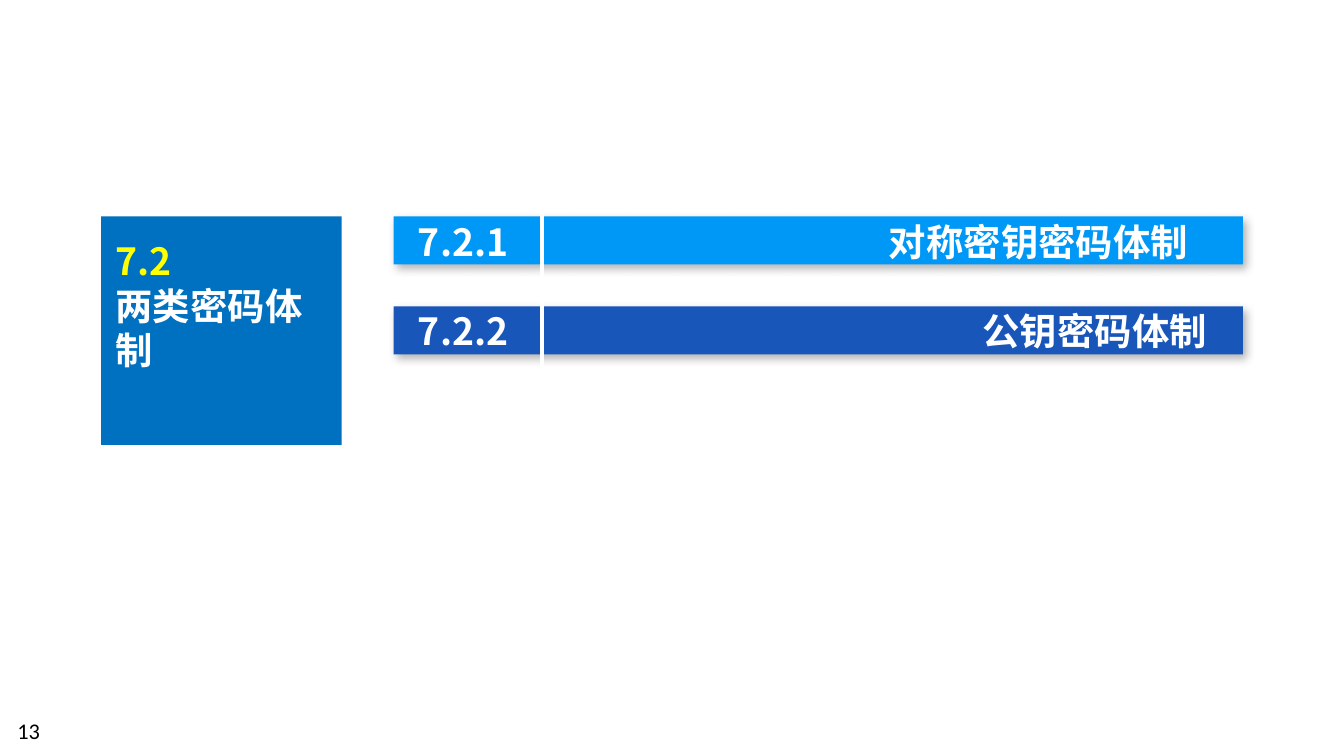
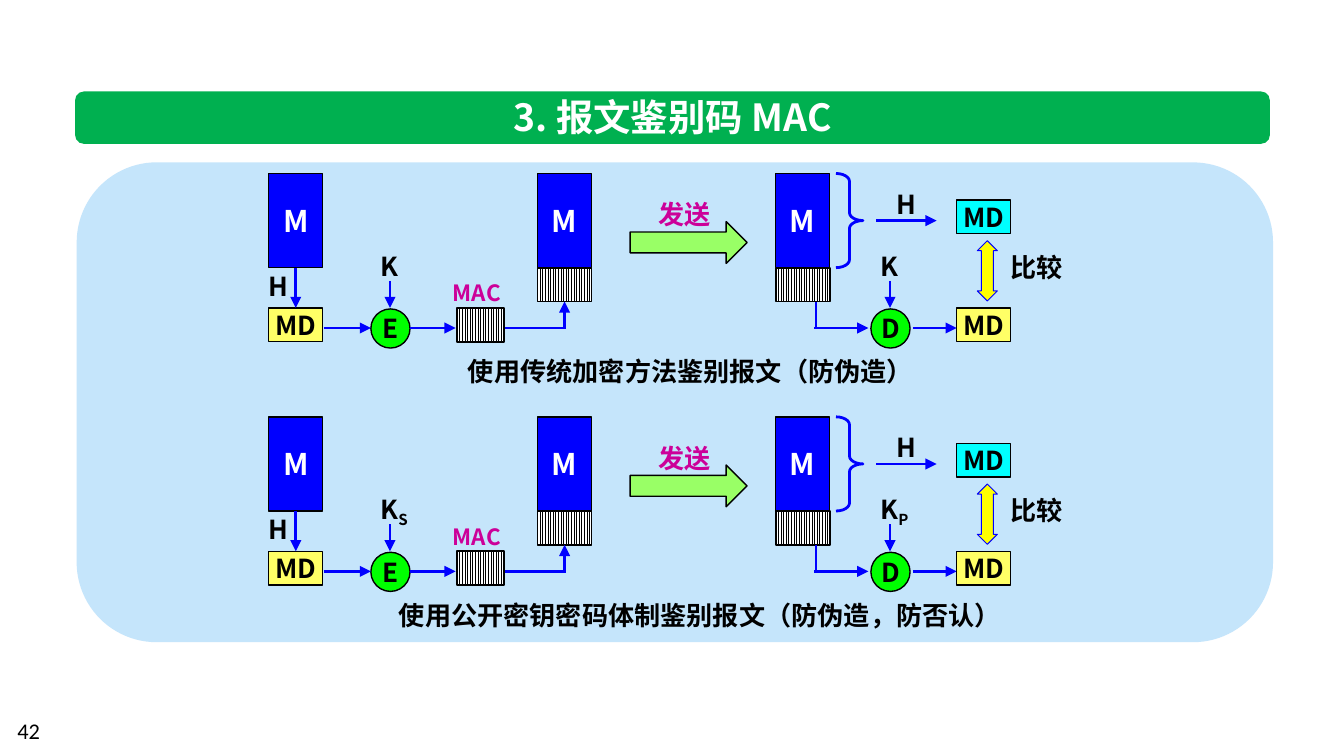
import dataclasses

import pptx
import pptx.dml.color
import pptx.enum.dml
import pptx.enum.shapes
import pptx.enum.text
import pptx.oxml.ns
import pptx.util
from lxml import etree

Cm = pptx.util.Cm
Pt = pptx.util.Pt
qn = pptx.oxml.ns.qn
SHAPE = pptx.enum.shapes.MSO_SHAPE
ALIGN = pptx.enum.text.PP_ALIGN
ANCHOR = pptx.enum.text.MSO_ANCHOR


@dataclasses.dataclass(frozen=True)
class Theme:
    font: str = "Noto Sans CJK SC"
    number_font: str = "Calibri"
    title_size: int = 20
    block_size: int = 16
    body_size: int = 14
    small_size: int = 12
    black: str = "000000"
    white: str = "FFFFFF"
    section: str = "0070C0"
    section_number: str = "FFFF00"
    bars: tuple = ("0098F6", "1956B9")
    banner: str = "00B050"
    panel: str = "C5E5FB"
    message: str = "0000FF"
    digest: str = "FFFF66"
    new_digest: str = "00FFFF"
    cipher: str = "00FF00"
    send: str = "99FF66"
    compare: str = "FFFF00"
    accent: str = "CC0099"


T = Theme()


def rgb(color):
    return pptx.dml.color.RGBColor.from_string(color)


class Deck:
    def __init__(self):
        self.prs = pptx.Presentation()
        self.prs.slide_width = Cm(25.4)
        self.prs.slide_height = Cm(14.29)

    def slide(self, number):
        self.s = self.prs.slides.add_slide(self.prs.slide_layouts[5])
        self.shapes = self.s.shapes
        self.text(0.08, 13.44, 5.92, 0.76, [number], T.small_size,
                  wrap=True, bold=False, font=T.number_font)

    def group(self):
        self.shapes = self.s.shapes.add_group_shape().shapes

    def style(self, p, size, color, align=None, bold=True, font=T.font):
        p.alignment = align
        for r in p.runs:
            r.font.size = Pt(size)
            r.font.bold = bold
            r.font.color.rgb = rgb(color)
            r.font.name = font
            latin = r.font.element.find(qn("a:latin")) if hasattr(r.font, "element") else \
                r._r.get_or_add_rPr().find(qn("a:latin"))
            ea = etree.Element(qn("a:ea"))
            ea.set("typeface", font)
            latin.addnext(ea)

    def title(self, x, y, w, h, lines, colors, align, wrap):
        sp = self.s.shapes.title
        sp.element.getparent().append(sp.element)
        sp.left, sp.top, sp.width, sp.height = Cm(x), Cm(y), Cm(w), Cm(h)
        tf = sp.text_frame
        tf.text = "\n".join(lines)
        tf.word_wrap = wrap
        tf.auto_size = pptx.enum.text.MSO_AUTO_SIZE.NONE
        tf.vertical_anchor = ANCHOR.TOP
        for p, color in zip(tf.paragraphs, colors):
            self.style(p, T.title_size, color, align)

    def text(self, x, y, w, h, lines, size=T.body_size, color=T.black, align=ALIGN.LEFT,
             wrap=False, sub="", **kw):
        tb = self.shapes.add_textbox(Cm(x), Cm(y), Cm(w), Cm(h))
        tf = tb.text_frame
        tf.word_wrap = wrap
        tf.text = "\n".join(lines)
        if sub:
            r = tf.paragraphs[0].add_run()
            r.text = sub
            r._r.get_or_add_rPr().set("baseline", "-25000")
        for p in tf.paragraphs:
            self.style(p, size, color, align, **kw)
        return tf

    def shape(self, kind, x, y, w, h, fill=None, line=None, width=0.75, label="",
              size=T.body_size, color=T.black, adj=()):
        sp = self.shapes.add_shape(kind, Cm(x), Cm(y), Cm(w), Cm(h))
        sp.shadow.inherit = False
        for i, value in enumerate(adj):
            sp.adjustments[i] = value
        if fill:
            sp.fill.solid()
            sp.fill.fore_color.rgb = rgb(fill)
        else:
            sp.fill.background()
        if line:
            sp.line.color.rgb = rgb(line)
            sp.line.width = Pt(width)
        else:
            sp.line.fill.background()
        if label:
            tf = sp.text_frame
            tf.text = label
            tf.word_wrap = False
            tf.vertical_anchor = ANCHOR.MIDDLE
            self.style(tf.paragraphs[0], size, color, ALIGN.CENTER)
        return sp

    def hatch(self, x, y, w):
        sp = self.shape(SHAPE.RECTANGLE, x, y, w, 0.64, line=T.black, width=1)
        sp.fill.patterned()
        sp.fill.pattern = pptx.enum.dml.MSO_PATTERN.LIGHT_VERTICAL
        sp.fill.fore_color.rgb = rgb(T.black)
        sp.fill.back_color.rgb = rgb(T.white)
        return sp

    def cast_shadow(self, sp):
        effects = sp.element.spPr.find(qn("a:effectLst"))
        shadow = etree.SubElement(effects, qn("a:outerShdw"), blurRad=str(Pt(4.5)),
                                  dist=str(Pt(2.6)), dir=str(53 * 60000), rotWithShape="0")
        color = etree.SubElement(shadow, qn("a:srgbClr"), val=T.black)
        etree.SubElement(color, qn("a:alpha"), val="30000")

    def line(self, x1, y1, x2, y2, color=T.message, width=1.5, arrow=True,
             begin=None, end=None):
        cx = self.shapes.add_connector(pptx.enum.shapes.MSO_CONNECTOR.STRAIGHT,
                                       Cm(x1), Cm(y1), Cm(x2), Cm(y2))
        if begin:
            cx.begin_connect(*begin)
        if end:
            cx.end_connect(*end)
        cx.line.color.rgb = rgb(color)
        cx.line.width = Pt(width)
        spPr = cx.element.spPr
        if arrow:
            etree.SubElement(spPr.find(qn("a:ln")), qn("a:tailEnd"), type="triangle")
        etree.SubElement(spPr, qn("a:effectLst"))

    def message(self, x, y):
        return self.shape(SHAPE.RECTANGLE, x, y, 1.02, 1.78, T.message, T.black,
                          label="M", size=T.block_size, color=T.white)

    def digest(self, x, y, fill=T.digest):
        return self.shape(SHAPE.RECTANGLE, x, y, 1.02, 0.64, fill, T.black, label="MD")

    def cipher(self, x, dy, label, key_sub):
        self.shape(SHAPE.OVAL, x, dy + 5.84, 0.74, 0.74, T.cipher, T.black, label=label)
        self.text(x - 0.07, dy + 4.6, 1.07 if key_sub else 0.86, 0.86, ["K"], sub=key_sub)
        self.line(x + 0.36, dy + 5.31, x + 0.36, dy + 5.82)

    def sender(self, dy, key_sub):
        flow = dy + 6.2
        m = self.message(5.08, dy + 3.28)
        md = self.digest(5.08, dy + 5.82)
        self.line(5.59, dy + 5.06, 5.59, dy + 5.82, begin=(m, 2), end=(md, 0))
        self.text(4.83, dy + 4.98, 0.91, 0.86, ["H"])
        self.cipher(7.01, dy, "E", key_sub)
        self.line(6.12, flow, 7.01, flow)
        self.line(7.75, flow, 8.61, flow)
        self.hatch(8.64, dy + 5.82, 0.89)
        self.text(8.31, dy + 5.16, 1.55, 0.76, ["MAC"], T.small_size, T.accent)
        self.message(10.16, dy + 3.28)
        mac = self.hatch(10.16, dy + 5.06, 1.02)
        self.line(9.55, flow, 10.69, flow, arrow=False)
        self.line(10.67, flow, 10.67, dy + 5.7, end=(mac, 2))

    def receiver(self, dy, key_sub):
        flow = dy + 6.2
        self.message(14.66, dy + 3.28)
        self.hatch(14.66, dy + 5.06, 1.02)
        self.line(15.42, flow, 15.42, dy + 5.7, arrow=False)
        self.line(15.39, flow, 16.41, flow)
        self.cipher(16.46, dy, "D", key_sub)
        self.line(17.25, flow, 18.08, flow)
        self.digest(18.08, dy + 5.82)
        self.shape(SHAPE.RIGHT_BRACE, 15.8, dy + 3.28, 0.51, 1.78,
                   line=T.message, width=1.5, adj=(0.292, 0.5))
        self.text(16.69, dy + 3.43, 0.91, 0.86, ["H"])
        self.line(16.56, dy + 4.17, 17.7, dy + 4.17)
        self.digest(18.08, dy + 3.78, T.new_digest)
        self.shape(SHAPE.UP_DOWN_ARROW, 18.47, dy + 4.55, 0.38, 1.14,
                   T.compare, T.message, 0.5, adj=(0.5, 0.6))
        self.text(18.85, dy + 4.62, 1.5, 0.86, ["比较"])

    def transfer(self, dy):
        self.shape(SHAPE.RIGHT_ARROW, 11.91, dy + 4.19, 2.21, 0.79, T.send, T.black)
        self.text(12.19, dy + 3.63, 1.5, 0.86, ["发送"], color=T.accent)


def section_slide(d):
    d.slide("13")
    for i, color in enumerate(T.bars):
        bar = d.shape(SHAPE.RECTANGLE, 7.44, 4.09 + 1.7 * i, 16.05, 0.91, color)
        d.cast_shadow(bar)
    for top, bottom in ((3.73, 7.67), (6.81, 7.19)):
        d.line(10.24, top, 10.24, bottom, T.white, 2.25, arrow=False)
    tf = d.text(7.65, 4.01, 15.54, 2.82, ["7.2.1\t对称密钥密码体制", "7.2.2\t公钥密码体制"],
                T.title_size, T.white, wrap=True)
    for p, stop in zip(tf.paragraphs, (8.9, 10.67)):
        tabs = etree.SubElement(p._p.get_or_add_pPr(), qn("a:tabLst"))
        etree.SubElement(tabs, qn("a:tab"), pos=str(Cm(stop)), algn="l")
    tf.paragraphs[1].space_before = Pt(24)
    d.shape(SHAPE.RECTANGLE, 1.91, 4.09, 4.55, 4.32, T.section)
    d.title(1.93, 4.37, 4.52, 2.82, ["7.2", "两类密码体制"],
            (T.section_number, T.white), ALIGN.LEFT, True)


def mac_slide(d):
    d.slide("42")
    d.shape(SHAPE.ROUNDED_RECTANGLE, 1.42, 1.73, 22.58, 0.99, T.banner, adj=(0.167,))
    d.title(9.27, 1.65, 6.88, 1.12, ["3. 报文鉴别码 MAC"], (T.white,), ALIGN.CENTER, False)
    d.shape(SHAPE.ROUNDED_RECTANGLE, 1.45, 3.07, 22.61, 9.07, T.panel)
    d.text(8.56, 6.6, 8.99, 0.86, ["使用传统加密方法鉴别报文（防伪造）"], align=ALIGN.CENTER)
    d.text(7.24, 11.2, 11.99, 0.86, ["使用公开密钥密码体制鉴别报文（防伪造，防否认）"],
           align=ALIGN.CENTER)
    for dy, sender_key, receiver_key in ((0, "", ""), (4.6, "S", "P")):
        d.group()
        d.receiver(dy, receiver_key)
        d.transfer(dy)
        d.sender(dy, sender_key)


def main():
    d = Deck()
    section_slide(d)
    mac_slide(d)
    d.prs.save("out.pptx")


if __name__ == "__main__":
    main()
